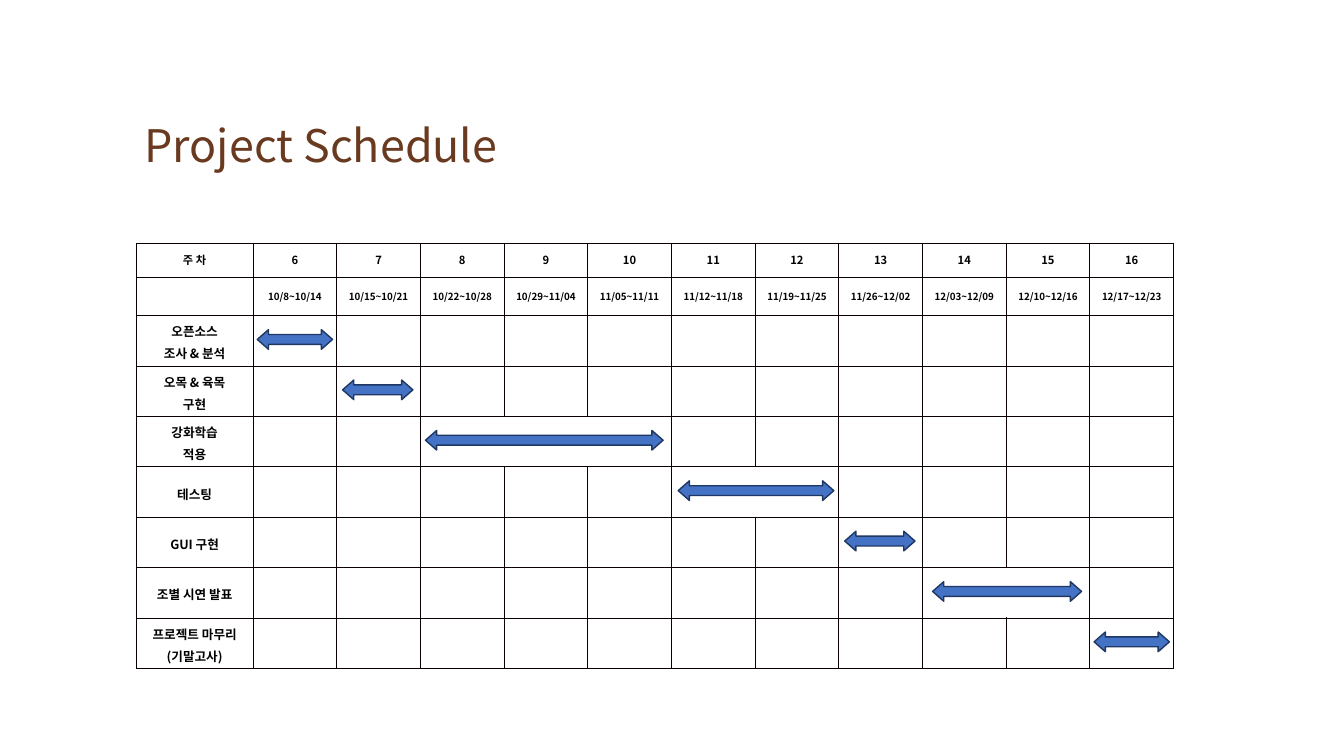
from dataclasses import dataclass

from lxml import etree
from pptx import Presentation
from pptx import util as u
from pptx.dml.color import RGBColor
from pptx.enum import shapes, text
from pptx.oxml import ns


@dataclass(frozen=True)
class Theme:
    font: str = "Noto Sans CJK KR"
    title: str = "6A3A20"
    ink: str = "000000"
    border: str = "0A0000"
    bar: str = "4472C4"
    bar_line: str = "1F3763"
    title_size: float = 32
    week_size: float = 8
    date_size: float = 7
    task_size: float = 9
    border_width: float = 0.56
    bar_line_width: float = 1


@dataclass(frozen=True)
class Grid:
    left: float = 1.35
    top: float = 2.41
    label: float = 1.16
    week: float = 0.83
    headers: tuple = (0.34, 0.38)
    task: float = 0.5

    def x(self, week: float) -> float:
        return self.left + self.label + week * self.week

    def y(self, task: float) -> float:
        return self.top + sum(self.headers) + task * self.task


@dataclass(frozen=True)
class Task:
    """Start and length of the bar are counted in week columns."""
    label: str
    first: int
    weeks: int
    start: float
    length: float


THEME = Theme()
GRID = Grid()
WIDTH, HEIGHT = 13.33, 7.5
BAR_HEIGHT = 0.195
BAR_OFFSET = 0.28  # share of a task row
WEEKS = [str(week) for week in range(6, 17)]
DATES = ["10/8~10/14", "10/15~10/21", "10/22~10/28", "10/29~11/04", "11/05~11/11",
         "11/12~11/18", "11/19~11/25", "11/26~12/02", "12/03~12/09", "12/10~12/16",
         "12/17~12/23"]
TASKS = [
    Task("오픈소스\n조사 & 분석", 0, 1, 0.05, 0.9),
    Task("오목 & 육목\n구현", 1, 1, 1.07, 0.84),
    Task("강화학습\n적용", 2, 3, 2.06, 2.84),
    Task("테스팅", 5, 2, 5.08, 1.86),
    Task("GUI 구현", 7, 1, 7.07, 0.84),
    Task("조별 시연 발표", 8, 2, 8.12, 1.78),
    Task("프로젝트 마무리\n(기말고사)", 10, 1, 10.05, 0.9),
]


def write(frame, content: str, *, size: float, color: str = THEME.ink, bold: bool = False,
          align=text.PP_ALIGN.CENTER, spacing: float = 1.0) -> None:
    """Fill a text frame, one paragraph for each line."""
    for index, line in enumerate(content.split("\n")):
        paragraph = frame.paragraphs[0] if index == 0 else frame.add_paragraph()
        paragraph.alignment = align
        paragraph.line_spacing = spacing
        if not line:
            etree.SubElement(paragraph._p, ns.qn("a:endParaRPr"), sz=str(int(size * 100)))
            continue
        run = paragraph.add_run()
        run.text = line
        run.font.size = u.Pt(size)
        run.font.bold = bold
        run.font.color.rgb = RGBColor.from_string(color)
        run.font.name = THEME.font
        etree.SubElement(run.font._element, ns.qn("a:ea"), typeface=THEME.font)


def draw_borders(cell) -> None:
    properties = cell._tc.get_or_add_tcPr()
    for index, side in enumerate(("lnL", "lnR", "lnT", "lnB")):
        line = etree.Element(ns.qn(f"a:{side}"), w=str(u.Pt(THEME.border_width)))
        fill = etree.SubElement(line, ns.qn("a:solidFill"))
        etree.SubElement(fill, ns.qn("a:srgbClr"), val=THEME.border)
        properties.insert(index, line)


def add_title(slide) -> None:
    title = slide.shapes.title
    title.left, title.width = u.Inches(0.1 * WIDTH), u.Inches(0.8 * WIDTH)
    title.top, title.height = u.Inches(0.063 * HEIGHT), u.Inches(0.17 * HEIGHT)
    frame = title.text_frame
    frame.auto_size = text.MSO_AUTO_SIZE.NONE
    frame.vertical_anchor = text.MSO_ANCHOR.BOTTOM
    write(frame, "Project Schedule", size=THEME.title_size, color=THEME.title,
          align=text.PP_ALIGN.LEFT)


def add_schedule(slide) -> None:
    blank = [""] * len(WEEKS)
    rows = [["주 차", *WEEKS], ["", *DATES]] + [[task.label, *blank] for task in TASKS]
    heights = [*GRID.headers] + [GRID.task] * len(TASKS)
    sizes = [THEME.week_size, THEME.date_size] + [THEME.task_size] * len(TASKS)
    table = slide.shapes.add_table(
        len(rows), len(WEEKS) + 1, u.Inches(GRID.left), u.Inches(GRID.top),
        u.Inches(GRID.x(len(WEEKS)) - GRID.left), u.Inches(sum(heights))).table
    table.first_row = table.horz_banding = False
    for index, column in enumerate(table.columns):
        column.width = u.Inches(GRID.week if index else GRID.label)

    for row, (values, height, size) in enumerate(zip(rows, heights, sizes)):
        table.rows[row].height = u.Inches(height)
        for column, value in enumerate(values):
            cell = table.cell(row, column)
            cell.margin_left = cell.margin_right = u.Inches(0.07)
            cell.margin_top = cell.margin_bottom = u.Inches(0.02)
            cell.vertical_anchor = text.MSO_ANCHOR.MIDDLE
            cell.fill.background()
            draw_borders(cell)
            write(cell.text_frame, value, size=size, bold=True,
                  spacing=1.0 if row < len(GRID.headers) else 1.2)

    # Weeks of one task share a cell
    for row, task in enumerate(TASKS, start=len(GRID.headers)):
        if task.weeks > 1:
            table.cell(row, task.first + 1).merge(table.cell(row, task.first + task.weeks))


def add_bar(slide, row: int, task: Task) -> None:
    bar = slide.shapes.add_shape(
        shapes.MSO_SHAPE.LEFT_RIGHT_ARROW, u.Inches(GRID.x(task.start)),
        u.Inches(GRID.y(row + BAR_OFFSET)), u.Inches(task.length * GRID.week),
        u.Inches(BAR_HEIGHT))
    bar.adjustments[0], bar.adjustments[1] = 0.5, 0.57
    bar.shadow.inherit = False
    bar.fill.solid()
    bar.fill.fore_color.rgb = RGBColor.from_string(THEME.bar)
    bar.line.color.rgb = RGBColor.from_string(THEME.bar_line)
    bar.line.width = u.Pt(THEME.bar_line_width)


def main() -> None:
    presentation = Presentation()
    presentation.slide_width = u.Inches(WIDTH)
    presentation.slide_height = u.Inches(HEIGHT)
    slide = presentation.slides.add_slide(presentation.slide_layouts.get_by_name("Title Only"))
    add_title(slide)
    add_schedule(slide)
    # Task bars
    for row, task in enumerate(TASKS):
        add_bar(slide, row, task)
    presentation.save("out.pptx")


if __name__ == "__main__":
    main()
